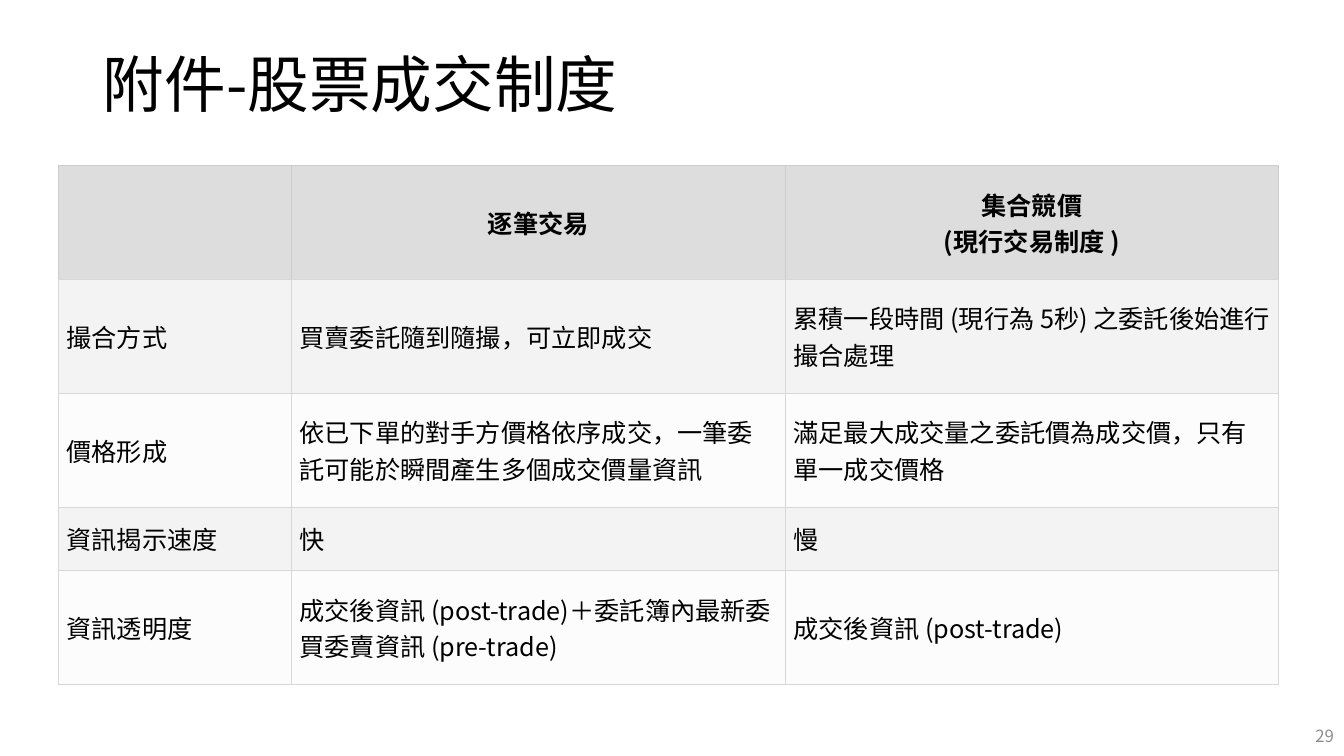
from lxml.etree import SubElement as Sub
from pptx import Presentation
from pptx.dml.color import RGBColor as Rgb
from pptx.enum.text import MSO_ANCHOR as Anchor, PP_ALIGN as Align
from pptx.oxml.ns import qn
from pptx.util import Inches, Pt

HEAD = ["", "逐筆交易", "集合競價\v(現行交易制度 )"]
BODY = [
    ["撮合方式", "買賣委託隨到隨撮，可立即成交", "累積一段時間 (現行為 5秒) 之委託後始進行撮合處理"],
    ["價格形成", "依已下單的對手方價格依序成交，一筆委託可能於瞬間產生多個成交價量資訊",
     "滿足最大成交量之委託價為成交價，只有單一成交價格"],
    ["資訊揭示速度", "快", "慢"],
    ["資訊透明度", "成交後資訊 (post-trade)＋委託簿內最新委買委賣資訊 (pre-trade)",
     "成交後資訊 (post-trade)"],
]


def tint(code):
    return Rgb.from_string(code)


class Deck:
    """Holds the style and the current slide."""

    font = "Noto Sans CJK SC"
    ink = "000000"

    def __init__(self):
        self.prs = Presentation()
        self.prs.slide_width, self.prs.slide_height = Inches(13.33), Inches(7.5)
        self.slide = self.prs.slides.add_slide(self.prs.slide_layouts[5])

    def style(self, frame, size, color=ink, bold=False, align=Align.LEFT):
        for par in frame.paragraphs:
            par.alignment = align
            for run in par.runs:
                run.font.size, run.font.bold = Pt(size), bold
                run.font.color.rgb = tint(color)
                run.font.name = self.font
                Sub(run.font._element, qn("a:ea"), typeface=self.font)

    def place(self, shape, box):
        shape.left, shape.top, shape.width, shape.height = map(Inches, box)

    def title(self, text, box):
        shape = self.slide.shapes.title
        self.place(shape, box)
        frame = shape.text_frame
        frame.text = text
        frame.vertical_anchor = Anchor.MIDDLE
        frame.paragraphs[0].line_spacing = 0.9
        self.style(frame, 44)

    def label(self, text, box, size, color, align):
        frame = self.slide.shapes.add_textbox(*map(Inches, box)).text_frame
        frame.word_wrap = True
        frame.vertical_anchor = Anchor.MIDDLE
        frame.text = text
        self.style(frame, size, color, align=align)

    def edge(self, cell, side, color):
        line = Sub(cell._tc.get_or_add_tcPr(), qn("a:ln" + side), w=str(Pt(0.75)))
        Sub(Sub(line, qn("a:solidFill")), qn("a:srgbClr"), val=color)

    def cell(self, cell, text, row):
        top = row == 0
        cell.text = text
        cell.vertical_anchor = Anchor.MIDDLE
        cell.margin_left = cell.margin_right = Inches(0.08)
        cell.margin_top = cell.margin_bottom = Inches(0.04)
        for side in "LRTB":
            self.edge(cell, side, "CCCCCC" if top and side != "B" else "D8D8D8")
        cell.fill.solid()
        cell.fill.fore_color.rgb = tint("DDDDDD" if top else ("FCFCFC", "F3F3F3")[row % 2])
        self.style(cell.text_frame, 18, bold=top, align=Align.CENTER if top else Align.LEFT)

    def table(self, rows, box, wide, high):
        grid = self.slide.shapes.add_table(len(rows), len(wide), *map(Inches, box)).table
        for col, width in zip(grid.columns, wide):
            col.width = Inches(width)
        for row, height in zip(grid.rows, high):
            row.height = Inches(height)
        for i, row in enumerate(rows):
            for j, text in enumerate(row):
                self.cell(grid.cell(i, j), text, i)


def main():
    deck = Deck()
    deck.title("附件-股票成交制度", (0.92, 0.4, 11.5, 0.93))
    deck.table([HEAD] + BODY, (0.58, 1.64, 12.1, 5.15),
               (2.31, 4.9, 4.89), (1.13, 1.13, 1.13, 0.63, 1.13))
    deck.label("29", (10.33, 7.1, 3, 0.4), 12, "8C8C8C", Align.RIGHT)
    deck.prs.save("out.pptx")


if __name__ == "__main__":
    main()
